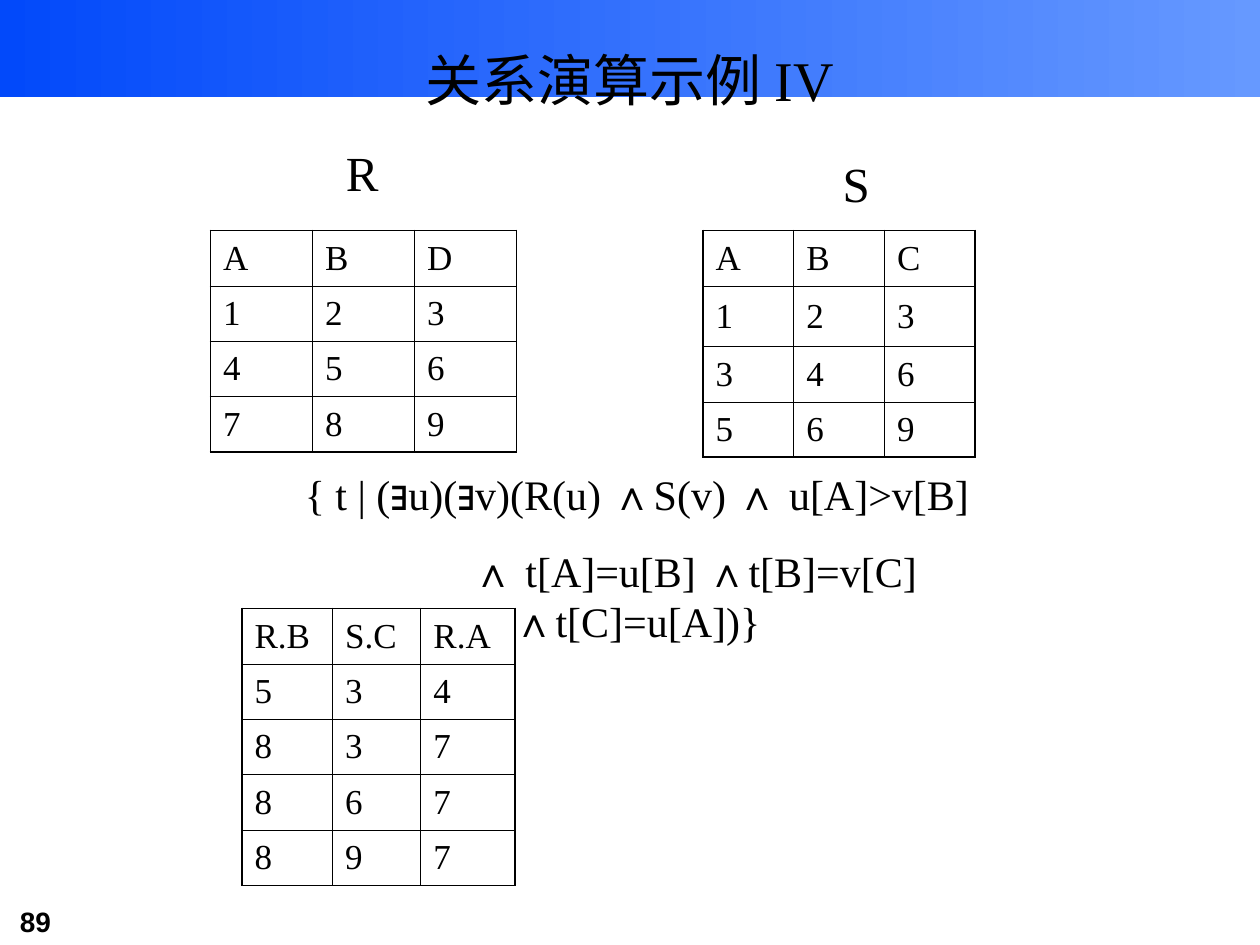
import itertools

import lxml.etree
import pptx
import pptx.dml.color
import pptx.enum.shapes
import pptx.enum.text
import pptx.oxml.ns
import pptx.util

Inches = pptx.util.Inches
Pt = pptx.util.Pt
ALIGN = pptx.enum.text.PP_ALIGN
ANCHOR = pptx.enum.text.MSO_ANCHOR
SERIF = "Times New Roman"
SANS = "Arial"
BLACK = "000000"
THICK, THIN = 1.08, 0.45


def color(code):
    """Turn a hex string into a colour."""
    return pptx.dml.color.RGBColor.from_string(code)


def style(font, size, name=SERIF, bold=False):
    """Set the size, face and weight of black text."""
    font.size = Pt(size)
    font.name = name
    font.bold = bold
    font.color.rgb = color(BLACK)


def frame(slide, box):
    """Add a wrapping text box and return its text frame."""
    text = slide.shapes.add_textbox(*map(Inches, box)).text_frame
    text.word_wrap = True
    return text


def label(slide, box, words, size, name=SERIF, bold=False, align=ALIGN.CENTER, anchor=ANCHOR.TOP):
    """Place one line of text in a box."""
    text = frame(slide, box)
    text.vertical_anchor = anchor
    line = text.paragraphs[0]
    line.text = words
    line.alignment = align
    style(line.font, size, name, bold)


def banner(slide, box):
    """Draw the gradient band."""
    band = slide.shapes.add_shape(pptx.enum.shapes.MSO_SHAPE.RECTANGLE, *map(Inches, box))
    band.shadow.inherit = False
    band.line.fill.background()
    band.fill.gradient()
    band.fill.gradient_angle = 0
    for stop, place, code in zip(band.fill.gradient_stops, (0, 1), ("0249FA", "6699FF")):
        stop.position = place
        stop.color.rgb = color(code)


def border(cell, edges):
    """Give the cell a black line on each side, by width in points."""
    props = cell._tc.get_or_add_tcPr()
    qn = pptx.oxml.ns.qn
    for spot, (side, width) in enumerate(edges.items()):
        line = lxml.etree.Element(qn(f"a:ln{side}"), w=str(Pt(width)))
        fill = lxml.etree.SubElement(line, qn("a:solidFill"))
        lxml.etree.SubElement(fill, qn("a:srgbClr"), val=BLACK)
        props.insert(spot, line)


def grid(slide, left, top, rows, widths, heights):
    """Place a ruled table with a heavier outer edge."""
    box = map(Inches, (left, top, sum(widths), sum(heights)))
    table = slide.shapes.add_table(len(rows), len(widths), *box).table
    table.first_row = table.horz_banding = False
    for col, width in zip(table.columns, widths):
        col.width = Inches(width)
    for row, height in zip(table.rows, heights):
        row.height = Inches(height)
    for y, row in enumerate(rows):
        for x, value in enumerate(row):
            cell = table.cell(y, x)
            cell.text = value
            cell.vertical_anchor = ANCHOR.MIDDLE
            cell.fill.background()
            style(cell.text_frame.paragraphs[0].font, 20)
            outer = {
                "L": x == 0,
                "R": x == len(widths) - 1,
                "T": y == 0,
                "B": y == len(rows) - 1,
            }
            border(cell, {side: THICK if edge else THIN for side, edge in outer.items()})


def formula(slide, box, lines, inset):
    """Write the query, with its logic signs in the sans face."""
    text = frame(slide, box)
    for spot, words in enumerate(lines):
        line = text.add_paragraph() if spot else text.paragraphs[0]
        line.alignment = ALIGN.CENTER
        if spot:
            line.space_before = Pt(15)
            props = line._p.get_or_add_pPr()
            props.set("marL", "0")
            props.set("indent", str(Inches(inset)))
        for sign, chars in itertools.groupby(words, lambda char: char in "∃∧"):
            run = line.add_run()
            run.text = "".join(chars)
            style(run.font, 24, SANS if sign else SERIF)


def main():
    """Build and save the slide."""
    deck = pptx.Presentation()
    deck.slide_width, deck.slide_height = Inches(10), Inches(7.5)
    slide = deck.slides.add_slide(deck.slide_layouts[6])
    banner(slide, (0, 0, 10, 0.77))
    label(slide, (0.06, 7.13, 1.22, 0.37), "89", 16, SANS, True, ALIGN.LEFT)
    label(slide, (0.75, 0.17, 8.5, 0.92), "关系演算示例 IV", 32, anchor=ANCHOR.MIDDLE)
    answer = [("R.B", "S.C", "R.A"), "534", "837", "867", "897"]
    grid(slide, 1.92, 4.83, answer, (0.72, 0.7, 0.75), [0.44] * 5)
    grid(slide, 1.67, 1.83, ["ABD", "123", "456", "789"], [0.81] * 3, [0.44] * 4)
    label(slide, (2.5, 1.08, 0.75, 0.57), "R", 28)
    grid(slide, 5.58, 1.83, ["ABC", "123", "346", "569"], [0.72] * 3, (0.44, 0.48, 0.44, 0.44))
    label(slide, (6.42, 1.17, 0.75, 0.57), "S", 28)
    query = [
        "{ t | (∃u)(∃v)(R(u) ∧S(v) ∧ u[A]>v[B]",
        "∧ t[A]=u[B] ∧t[B]=v[C] ∧t[C]=u[A])}",
    ]
    formula(slide, (2.05, 3.67, 6.01, 1.11), query, 0.92)
    deck.save("out.pptx")


if __name__ == "__main__":
    main()
